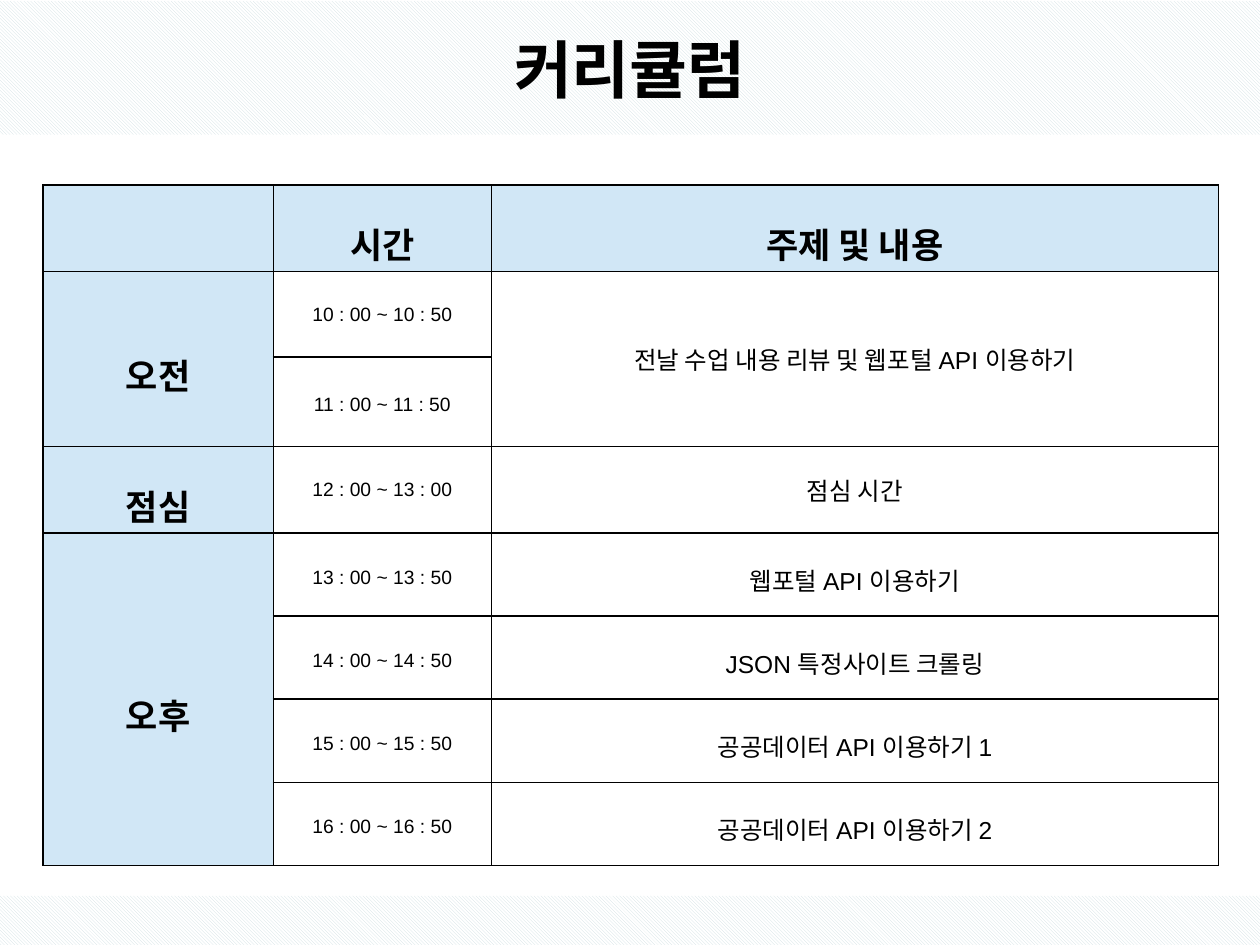
from lxml import etree
from pptx import Presentation
from pptx.dml.color import RGBColor
from pptx.enum.dml import MSO_PATTERN
from pptx.enum.shapes import MSO_SHAPE
from pptx.enum.text import MSO_ANCHOR, PP_ALIGN
from pptx.oxml.ns import qn
from pptx.util import Inches, Pt

RECT = MSO_SHAPE.RECTANGLE
HATCH = MSO_PATTERN.LIGHT_DOWNWARD_DIAGONAL
MIDDLE, CENTER = MSO_ANCHOR.MIDDLE, PP_ALIGN.CENTER

TITLE = "커리큘럼"
HEADER = ("", "시간", "주제 및 내용")
# part of day, time, topic, line spacing; None continues the cell above
SESSIONS = [
    ("오전", "10 : 00 ~ 10 : 50", "전날 수업 내용 리뷰 및 웹포털 API 이용하기", 1.0),
    (None, "11 : 00 ~ 11 : 50", None, 1.3),
    ("점심", "12 : 00 ~ 13 : 00", "점심 시간", 1.0),
    ("오후", "13 : 00 ~ 13 : 50", "웹포털 API 이용하기", 1.3),
    (None, "14 : 00 ~ 14 : 50", "JSON 특정사이트 크롤링", 1.3),
    (None, "15 : 00 ~ 15 : 50", "공공데이터 API 이용하기 1", 1.3),
    (None, "16 : 00 ~ 16 : 50", "공공데이터 API 이용하기 2", 1.3),
]

THEME = {
    "ink": "000000", "paper": "FFFFFF", "label": "D1E7F6", "hatch": "CEDEE2",
    "latin": "Arial", "korean": "Noto Sans CJK KR",
    "title": 36, "head": 20, "time": 11, "topic": 14, "border": 1,
}
SLIDE_W, SLIDE_H = 10, 7.5
BANDS = {"top": (0.01, 1.06), "bottom": (7.11, 0.39)}
TABLE_LEFT, TABLE_TOP = 0.34, 1.47
COLS = [1.83, 1.73, 5.77]
ROWS = [0.58, 0.68, 0.71] + [0.66] * 5
CELL_INSET = 0.02
LABEL_SPACING = 1.6


def color(name):
    return RGBColor.from_string(THEME[name])


def write(tf, text, size, bold, latin, spacing=None):
    p = tf.paragraphs[0]
    p.text = text
    p.alignment = CENTER
    if spacing:
        p.line_spacing = spacing
    for r in p.runs:
        r.font.size, r.font.bold, r.font.name = Pt(size), bold, latin
        r.font.color.rgb = color("ink")
        ea = etree.SubElement(r.font._element, qn("a:ea"))
        ea.set("typeface", THEME["korean"])


def add_band(s, top, height):
    sp = s.shapes.add_shape(RECT, 0, Inches(top), Inches(SLIDE_W), Inches(height))
    sp.shadow.inherit = False
    sp.line.fill.background()
    sp.fill.patterned()
    sp.fill.pattern = HATCH
    sp.fill.fore_color.rgb = color("hatch")
    sp.fill.back_color.rgb = color("paper")
    return sp


def add_borders(cell):
    tc_pr = cell._tc.get_or_add_tcPr()
    for side in ("lnL", "lnR", "lnT", "lnB"):
        ln = etree.SubElement(tc_pr, qn(f"a:{side}"), w=str(Pt(THEME["border"])))
        fill = etree.SubElement(ln, qn("a:solidFill"))
        etree.SubElement(fill, qn("a:srgbClr"), val=THEME["ink"])


def fill_cell(cell, text, size, spacing, is_label):
    cell.vertical_anchor = MIDDLE
    cell.margin_left = cell.margin_right = Inches(CELL_INSET)
    cell.margin_top = cell.margin_bottom = Inches(CELL_INSET)
    add_borders(cell)
    cell.fill.solid()
    cell.fill.fore_color.rgb = color("label" if is_label else "paper")
    if text:
        write(cell.text_frame, text, size, is_label, THEME["latin"], spacing)


def merge_continued(table, col):
    """Join each filled cell of a column with the None cells below it."""
    starts = [i for i, row in enumerate(SESSIONS, 1) if row[col] is not None]
    for first, following in zip(starts, starts[1:] + [len(SESSIONS) + 1]):
        if following - first > 1:
            table.cell(first, col).merge(table.cell(following - 1, col))


def add_schedule(s):
    frame = s.shapes.add_table(len(ROWS), len(COLS), Inches(TABLE_LEFT), Inches(TABLE_TOP),
                               Inches(sum(COLS)), Inches(sum(ROWS)))
    table = frame.table
    table.horz_banding = False
    for col, width in zip(table.columns, COLS):
        col.width = Inches(width)
    for row, height in zip(table.rows, ROWS):
        row.height = Inches(height)

    sizes = (THEME["head"], THEME["time"], THEME["topic"])
    for i, (*texts, spacing) in enumerate([(*HEADER, LABEL_SPACING)] + SESSIONS):
        for j, text in enumerate(texts):
            is_label = i == 0 or j == 0
            fill_cell(table.cell(i, j), text,
                      THEME["head"] if is_label else sizes[j],
                      LABEL_SPACING if is_label else spacing, is_label)
    for col in (0, 2):
        merge_continued(table, col)


def main():
    prs = Presentation()
    prs.slide_width, prs.slide_height = Inches(SLIDE_W), Inches(SLIDE_H)
    s = prs.slides.add_slide(prs.slide_layouts[6])
    add_band(s, *BANDS["bottom"])
    tf = add_band(s, *BANDS["top"]).text_frame
    tf.vertical_anchor = MIDDLE
    write(tf, TITLE, THEME["title"], True, THEME["korean"])
    add_schedule(s)
    prs.save("out.pptx")


if __name__ == "__main__":
    main()
